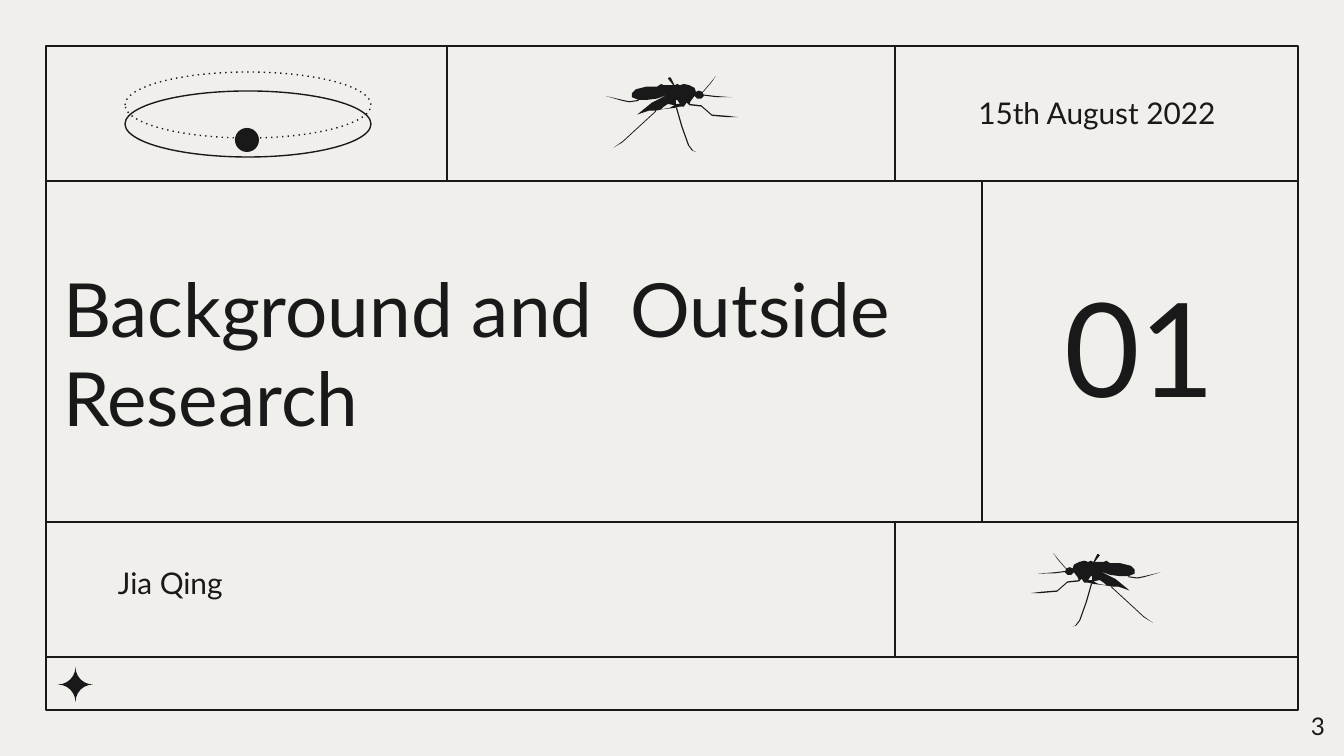
from lxml import etree
from pptx import Presentation
from pptx import util as u
from pptx.dml.color import RGBColor
from pptx.enum import shapes, text
from pptx.oxml.ns import qn

PX = 914400 / 134.4
INK, PAPER, FONT = "191919", "F1EFEC", "Lato"
LEFT, ALIGN_CENTER, RIGHT = text.PP_ALIGN.LEFT, text.PP_ALIGN.CENTER, text.PP_ALIGN.RIGHT
TOP, MIDDLE = text.MSO_ANCHOR.TOP, text.MSO_ANCHOR.MIDDLE

# Grid: outer frame, full-width rules, then (x, top, bottom) dividers
FRAME_LEFT, FRAME_TOP, FRAME_RIGHT, FRAME_BOTTOM = 46, 46, 1298, 710
RULES = [181, 522, 657]
DIVIDERS = [(447, 46, 181), (895, 46, 181), (982, 181, 522), (895, 522, 657)]

# Words, box, size, alignment, anchor, side margin
TITLE = ("Background and  Outside Research", (50, 285, 931, 134), 40, LEFT, MIDDLE, 13)
LABELS = [
    ("Jia Qing", (105, 552, 790, 51), 16, LEFT, TOP, 13),
    ("01", (982, 234, 316, 222), 70, ALIGN_CENTER, MIDDLE, 0),
    ("15th August 2022", (896, 87, 402, 51), 16, ALIGN_CENTER, MIDDLE, 13),
    ("3", (1258, 698, 80, 58), 13, RIGHT, TOP, 13),
]

# Mosquito on a grid 102 units wide
MOSQUITO_WIDTH = 102
MOSQUITO_BODY = [
    (49, 1), (48, 2), (52, 7), (45, 7), (43, 6), (40, 8), (32, 8), (24, 10), (21, 13),
    (21, 16), (26, 18), (32, 18), (40, 17), (48, 14), (36, 20), (25, 29), (34, 26),
    (39, 26), (44, 25), (53, 24), (57, 23), (60, 23), (62, 20), (64, 22), (65, 19),
    (68, 15), (70, 17), (73, 17), (75, 15), (74, 12), (71, 11), (69, 12), (68, 9),
    (64, 7), (60, 6), (57, 7), (55, 6), (53, 7), (50, 1),
]
WING_GAPS = [
    [(48, 21), (53, 22), (49, 24), (43, 25), (45, 23)],
    [(54, 18), (55, 18), (57, 21), (54, 21)],
]
# Points along each limb, and the offset that gives it thickness
LIMBS = [
    ([(74, 12), (80, 5), (84, 0)], (0.6, 0)),
    ([(75, 14), (83, 15), (96, 16)], (0, 0.8)),
    ([(26, 18), (19, 19), (14, 18), (1, 15)], (0, 0.8)),
    ([(39, 26), (27, 37), (14, 49), (7, 54)], (0, 0.8)),
    ([(54, 24), (58, 38), (63, 52), (66, 56), (69, 57)], (0.9, 0)),
    ([(64, 21), (73, 22), (81, 29), (93, 30), (101, 31)], (0, 1)),
]
# Left, top, drawn width, facing left
MOSQUITOES = [(604, 76, 136, False), (1030, 553, 132, True)]


def emu(px):
    return u.Emu(round(px * PX))


def color(value):
    return RGBColor.from_string(value)


def style(shape, fill=None, line_width=None):
    shape.shadow.inherit = False
    if fill:
        shape.fill.solid()
        shape.fill.fore_color.rgb = color(fill)
    else:
        shape.fill.background()
    if line_width:
        shape.line.color.rgb = color(INK)
        shape.line.width = u.Pt(line_width)
    else:
        shape.line.fill.background()


def add_shape(slide, kind, box, fill=None, line_width=None):
    shape = slide.shapes.add_shape(kind, *map(emu, box))
    style(shape, fill, line_width)
    return shape


def add_line(slide, *ends):
    line = slide.shapes.add_connector(shapes.MSO_CONNECTOR.STRAIGHT, *map(emu, ends))
    line.line.color.rgb = color(INK)
    line.line.width = u.Pt(1.5)
    etree.SubElement(line._element.spPr, qn("a:effectLst"))


def write(shape, words, box, size, align, anchor, side):
    shape.left, shape.top, shape.width, shape.height = map(emu, box)
    frame = shape.text_frame
    frame.word_wrap = True
    frame.auto_size = text.MSO_AUTO_SIZE.NONE
    frame.vertical_anchor = anchor
    frame.margin_left = frame.margin_right = emu(side)
    frame.margin_top = frame.margin_bottom = emu(13)
    frame.text = words
    paragraph = frame.paragraphs[0]
    paragraph.alignment = align
    paragraph.font.name = FONT
    paragraph.font.size = u.Pt(size)
    paragraph.font.color.rgb = color(INK)


def limb_outline(points, offset):
    """Run along a limb and back again, tapering to its tip."""
    dx, dy = offset
    return points + [(x + dx, y + dy) for x, y in reversed(points[:-1])]


def add_mosquito(slide, left, top, width, facing_left):
    fine = 10  # steps per grid unit, as freeform points are whole numbers
    outlines = [MOSQUITO_BODY, *WING_GAPS, *(limb_outline(*limb) for limb in LIMBS)]
    builder = None
    for outline in outlines:
        points = [((MOSQUITO_WIDTH - x if facing_left else x) * fine, y * fine)
                  for x, y in outline]
        if builder is None:
            scale = emu(width) / (MOSQUITO_WIDTH * fine)
            builder = slide.shapes.build_freeform(*points[0], scale=scale)
        else:
            builder.move_to(*points[0])
        builder.add_line_segments(points[1:], close=True)
    style(builder.convert_to_shape(emu(left), emu(top)), INK)


def main():
    presentation = Presentation()
    presentation.slide_width, presentation.slide_height = emu(1344), emu(756)
    slide = presentation.slides.add_slide(presentation.slide_layouts[5])
    slide.background.fill.solid()
    slide.background.fill.fore_color.rgb = color(PAPER)

    kinds = shapes.MSO_SHAPE
    add_shape(slide, kinds.RECTANGLE, (FRAME_LEFT, FRAME_TOP, FRAME_RIGHT - FRAME_LEFT,
                                       FRAME_BOTTOM - FRAME_TOP), line_width=1.5)
    for y in RULES:
        add_line(slide, FRAME_LEFT, y, FRAME_RIGHT, y)
    for x, top, bottom in DIVIDERS:
        add_line(slide, x, top, x, bottom)

    star = add_shape(slide, kinds.PLAQUE, (58, 667, 35, 35), fill=INK)
    star.adjustments[0] = 0.5

    add_shape(slide, kinds.OVAL, (125, 91, 246, 66), line_width=0.75)
    dotted_orbit = add_shape(slide, kinds.OVAL, (125, 72, 246, 66), line_width=0.75)
    outline = dotted_orbit._element.spPr.find(qn("a:ln"))
    etree.SubElement(outline, qn("a:prstDash"), val="dot")
    add_shape(slide, kinds.OVAL, (235, 128, 24, 24), fill=INK)

    for mosquito in MOSQUITOES:
        add_mosquito(slide, *mosquito)

    write(slide.shapes.title, *TITLE)
    for label in LABELS:
        write(slide.shapes.add_textbox(0, 0, 0, 0), *label)

    presentation.save("out.pptx")


if __name__ == "__main__":
    main()
